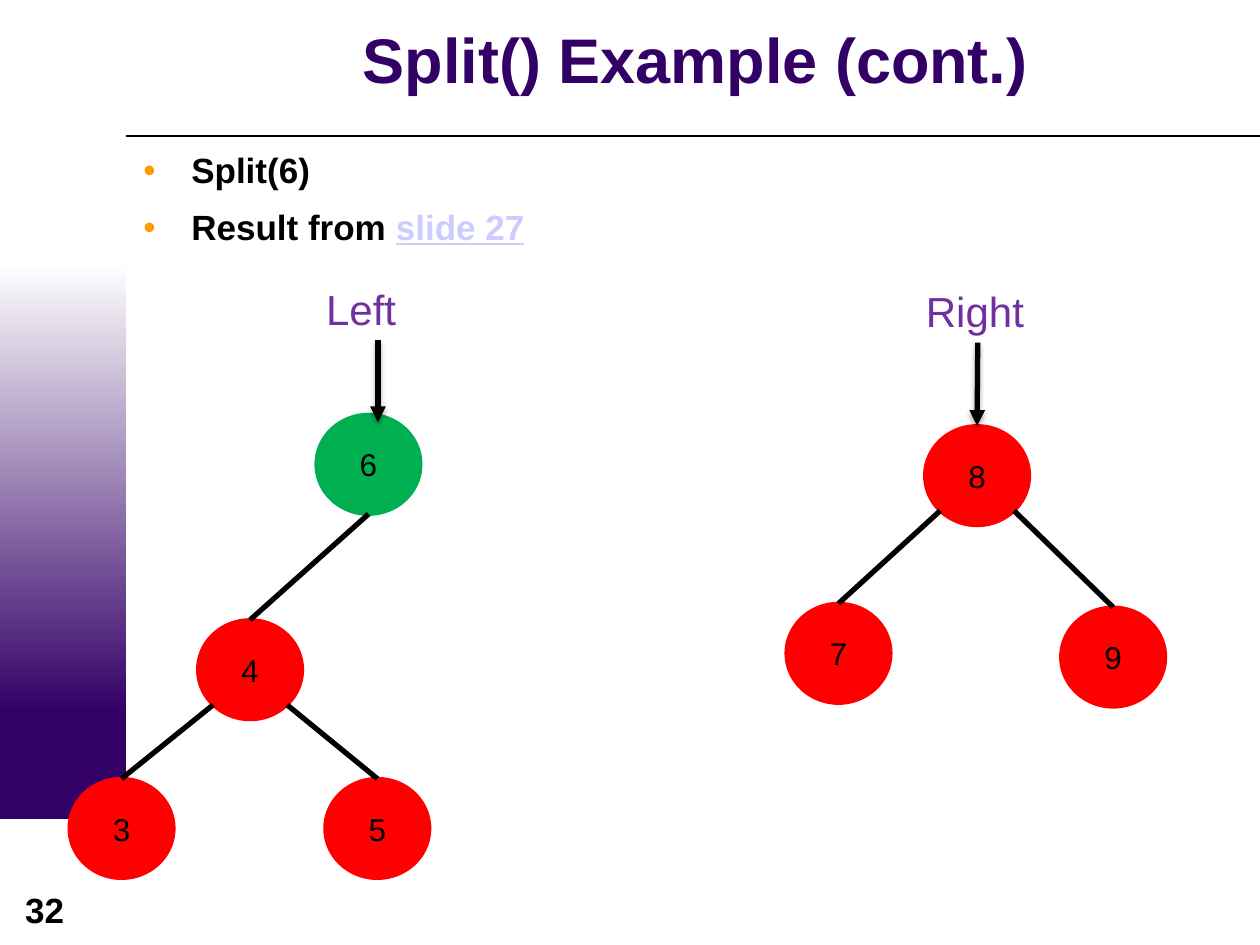
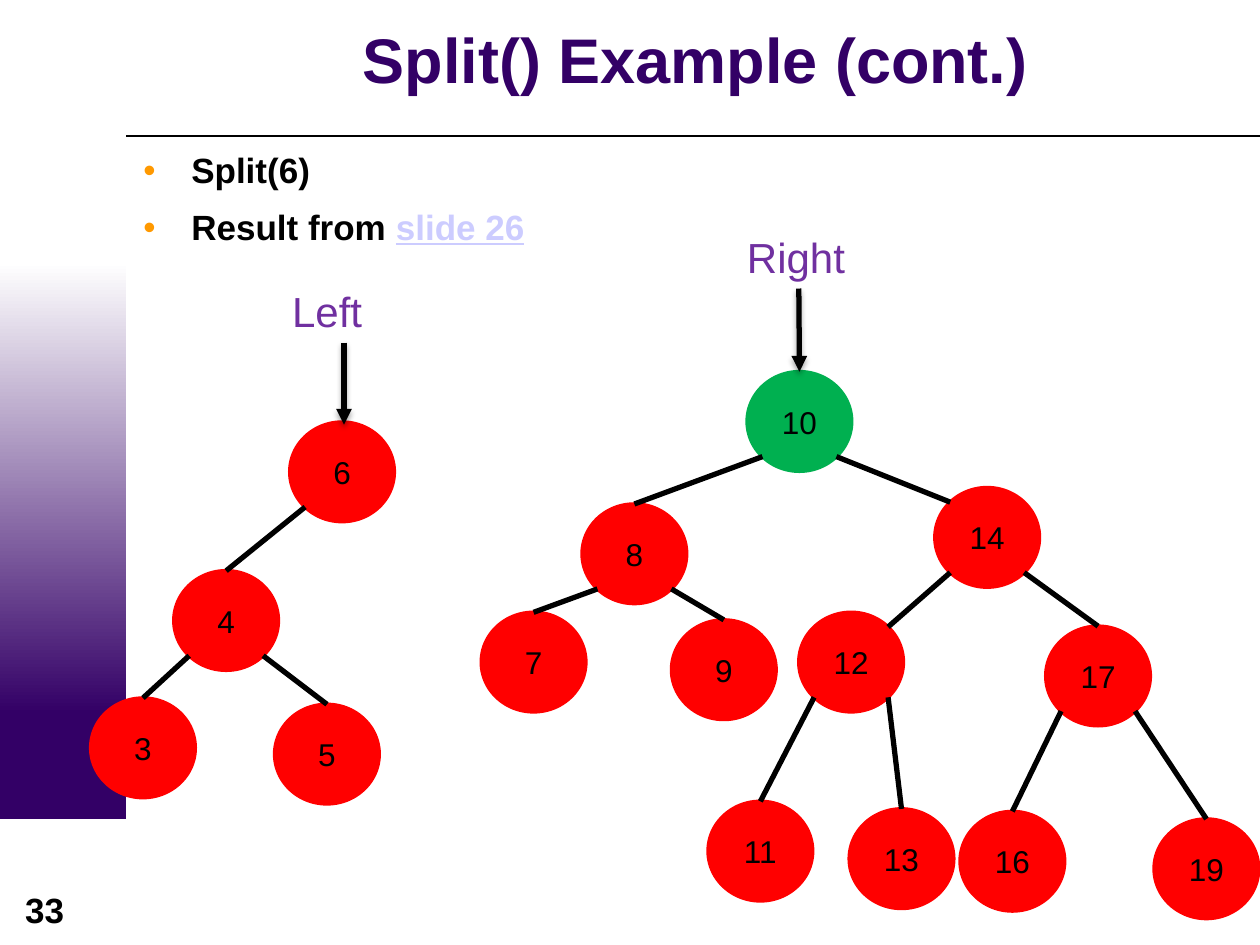
from dataclasses import dataclass
from math import sqrt

from lxml.etree import SubElement
from pptx import Presentation
from pptx.dml.color import RGBColor
from pptx.enum.shapes import MSO_CONNECTOR, MSO_SHAPE
from pptx.enum.text import MSO_ANCHOR, PP_ALIGN
from pptx.oxml.ns import qn
from pptx.util import Inches, Pt


@dataclass(frozen=True)
class Theme:
    font: str = "Arial"
    ink: str = "000000"
    paper: str = "FFFFFF"
    deep: str = "330066"
    bullet: str = "FF9900"
    link: str = "CCCCFF"
    label: str = "7030A0"
    red: str = "FF0000"
    green: str = "00B050"
    title: int = 36
    tag: int = 24
    body: int = 20
    node: int = 18
    edge: int = 3


T = Theme()
NODE_W, NODE_H = 0.83, 0.79
TAG_W, TAG_H, ARROW = 1.02, 0.5, 0.65


def rgb(code):
    return RGBColor.from_string(code)


def inches(*sizes):
    return [Inches(size) for size in sizes]


def add_run(para, text, size, color, bold=False, under=None):
    run = para.add_run()
    run.text = text
    font = run.font
    font.name, font.size, font.bold = T.font, Pt(size), bold
    font.color.rgb = rgb(color)
    font.underline = under


def add_box(slide, box):
    frame = slide.shapes.add_textbox(*inches(*box)).text_frame
    frame.word_wrap = True
    return frame


def add_shape(slide, kind, box):
    shape = slide.shapes.add_shape(kind, *inches(*box))
    shape.shadow.inherit = False
    return shape


def add_line(slide, start, end, width, arrow=False):
    line = slide.shapes.add_connector(
        MSO_CONNECTOR.STRAIGHT, *inches(*start, *end))
    line.line.color.rgb = rgb(T.ink)
    line.line.width = Pt(width)
    props = line._element.spPr
    effects = SubElement(props, qn("a:effectLst"))
    if arrow:
        SubElement(props.find(qn("a:ln")), qn("a:tailEnd"), type="triangle")
        shade = SubElement(effects, qn("a:outerShdw"), blurRad="40000",
                           dist="23000", dir="5400000", rotWithShape="0")
        black = SubElement(shade, qn("a:srgbClr"), val=T.ink)
        SubElement(black, qn("a:alpha"), val="35000")
    return line


def add_band(slide, box):
    """Purple side band: solid foot under a gradient."""
    x, y, w, h = box
    foot = add_shape(slide, MSO_SHAPE.RECTANGLE, (x, y + h - 1, w, 1))
    foot.fill.solid()
    foot.fill.fore_color.rgb = rgb(T.deep)
    fade = add_shape(slide, MSO_SHAPE.RECTANGLE, (x, y, w, 3.58))
    fade.fill.gradient()
    fade.fill.gradient_angle = 270
    for stop, color, place in zip(fade.fill.gradient_stops,
                                  (T.paper, T.deep), (0, 1)):
        stop.color.rgb = rgb(color)
        stop.position = place
    for shape in (foot, fade):
        shape.line.fill.background()


def add_title(slide, box, text):
    frame = add_box(slide, box)
    frame.vertical_anchor = MSO_ANCHOR.MIDDLE
    frame.margin_top = frame.margin_bottom = 0
    para = frame.paragraphs[0]
    para.alignment, para.line_spacing = PP_ALIGN.CENTER, 0.85
    add_run(para, text, T.title, T.deep, bold=True)


def add_number(slide, box, number):
    para = add_box(slide, box).paragraphs[0]
    para.alignment = PP_ALIGN.CENTER
    add_run(para, str(number), T.body, T.ink, bold=True)


def add_points(slide, box, source):
    """Bulleted lines; the second ends in a link-coloured reference."""
    frame = add_box(slide, box)
    for i, (text, ref) in enumerate([("Split(6)", ""),
                                     ("Result from ", source)]):
        para = frame.add_paragraph() if i else frame.paragraphs[0]
        props = para._p.get_or_add_pPr()
        props.set("marL", str(Inches(0.38)))
        props.set("indent", str(-Inches(0.38)))
        tint = SubElement(props, qn("a:buClr"))
        SubElement(tint, qn("a:srgbClr"), val=T.bullet)
        SubElement(props, qn("a:buFont"), typeface=T.font)
        SubElement(props, qn("a:buChar"), char="•")
        para.line_spacing = 0.9
        para.space_before = Pt(5.4 if i else 0)
        para.space_after = Pt(5.4)
        add_run(para, text, T.body, T.ink, bold=True)
        if ref:
            add_run(para, ref, T.body, T.link, bold=True, under=True)


def add_node(slide, spot, text, color):
    node = add_shape(slide, MSO_SHAPE.FLOWCHART_CONNECTOR,
                     (*spot, NODE_W, NODE_H))
    node.fill.solid()
    node.fill.fore_color.rgb = node.line.color.rgb = rgb(color)
    node.line.width = Pt(2)
    frame = node.text_frame
    frame.vertical_anchor = MSO_ANCHOR.MIDDLE
    para = frame.paragraphs[0]
    para.alignment = PP_ALIGN.CENTER
    add_run(para, text, T.node, T.ink)
    return node


def rim(spot, dx, dy):
    """Point on a node's rim in direction (dx, dy), each -1, 0 or 1."""
    reach = 0.5 / sqrt(dx * dx + dy * dy)
    return (spot[0] + NODE_W * (0.5 + dx * reach),
            spot[1] + NODE_H * (0.5 + dy * reach))


def add_tree(slide, origin, tree):
    """Tag with an arrow, nodes and edges, offset from the origin."""
    x, y = origin
    spots = {key: (x + dx, y + dy)
             for key, (dx, dy, _) in tree["nodes"].items()}
    shapes = {key: add_node(slide, spot, key,
                            T.green if key == tree.get("green") else T.red)
              for key, spot in spots.items()}

    # Edges
    for key, (_, _, parent) in tree["nodes"].items():
        if not parent:
            continue
        side = 1 if spots[key][0] > spots[parent][0] else -1
        start = rim(spots[parent], 0 if key in tree.get("below", ()) else side, 1)
        corner = key in tree.get("corner", ())
        edge = add_line(slide, start,
                        rim(spots[key], -side if corner else 0, -1), T.edge)
        if not corner:
            edge.end_connect(shapes[key], 0)

    # Tag and arrow to the root
    left = x + tree["tag_x"]
    add_run(add_box(slide, (left, y, TAG_W, TAG_H)).paragraphs[0],
            tree["tag"], T.tag, T.label)
    mid, top = left + TAG_W / 2, y + TAG_H
    arrow = add_line(slide, (mid, top), (mid, top + ARROW), T.edge, arrow=True)
    if tree.get("join"):
        arrow.end_connect(shapes[next(iter(shapes))], 0)


def add_page(deck, number, source, trees):
    slide = deck.slides.add_slide(deck.slide_layouts[6])
    add_band(slide, (0, 2.08, 1, 4.42))
    add_line(slide, (1, 1.08), (10, 1.08), 0.75)
    add_number(slide, (-0.02, 7, 0.75, 0.44), number)
    add_title(slide, (1.04, 0.03, 8.96, 0.96), "Split() Example (cont.)")
    add_points(slide, (1.04, 1.17, 8.96, 6.33), source)
    for origin, tree in trees:
        add_tree(slide, origin, tree)


# Nodes: key -> (x offset, y offset, parent), root first
PAGES = [
    (32, "slide 27", [
        ((0.55, 2.2), {
            "tag": "Left", "tag_x": 1.94, "green": "6", "below": ("4",),
            "nodes": {"6": (1.96, 1.09, None), "4": (1.02, 2.72, "6"),
                      "3": (0, 3.98, "4"), "5": (2.03, 3.98, "4")}}),
        ((6.24, 2.22), {
            "tag": "Right", "tag_x": 1.01, "join": True,
            "nodes": {"8": (1.1, 1.16, None), "7": (0, 2.57, "8"),
                      "9": (2.18, 2.6, "8")}}),
    ]),
    (33, "slide 26", [
        ((0.72, 2.22), {
            "tag": "Left", "tag_x": 1.5,
            "nodes": {"6": (1.58, 1.13, None), "4": (0.66, 2.31, "6"),
                      "3": (0, 3.32, "4"), "5": (1.46, 3.37, "4")}}),
        ((3.82, 1.79), {
            "tag": "Right", "tag_x": 2.01, "green": "10", "join": True,
            "corner": ("12", "14"),
            "nodes": {"10": (2.11, 1.16, None), "8": (0.8, 2.21, "10"),
                      "14": (3.6, 2.08, "10"), "7": (0, 3.07, "8"),
                      "9": (1.51, 3.13, "8"), "12": (2.52, 3.07, "14"),
                      "17": (4.48, 3.18, "14"), "11": (1.8, 4.57, "12"),
                      "13": (2.92, 4.63, "12"), "16": (3.8, 4.65, "17"),
                      "19": (5.34, 4.71, "17")}}),
    ]),
]


def main():
    deck = Presentation()
    deck.slide_width, deck.slide_height = inches(10, 7.5)
    for page in PAGES:
        add_page(deck, *page)
    deck.save("out.pptx")


if __name__ == "__main__":
    main()
